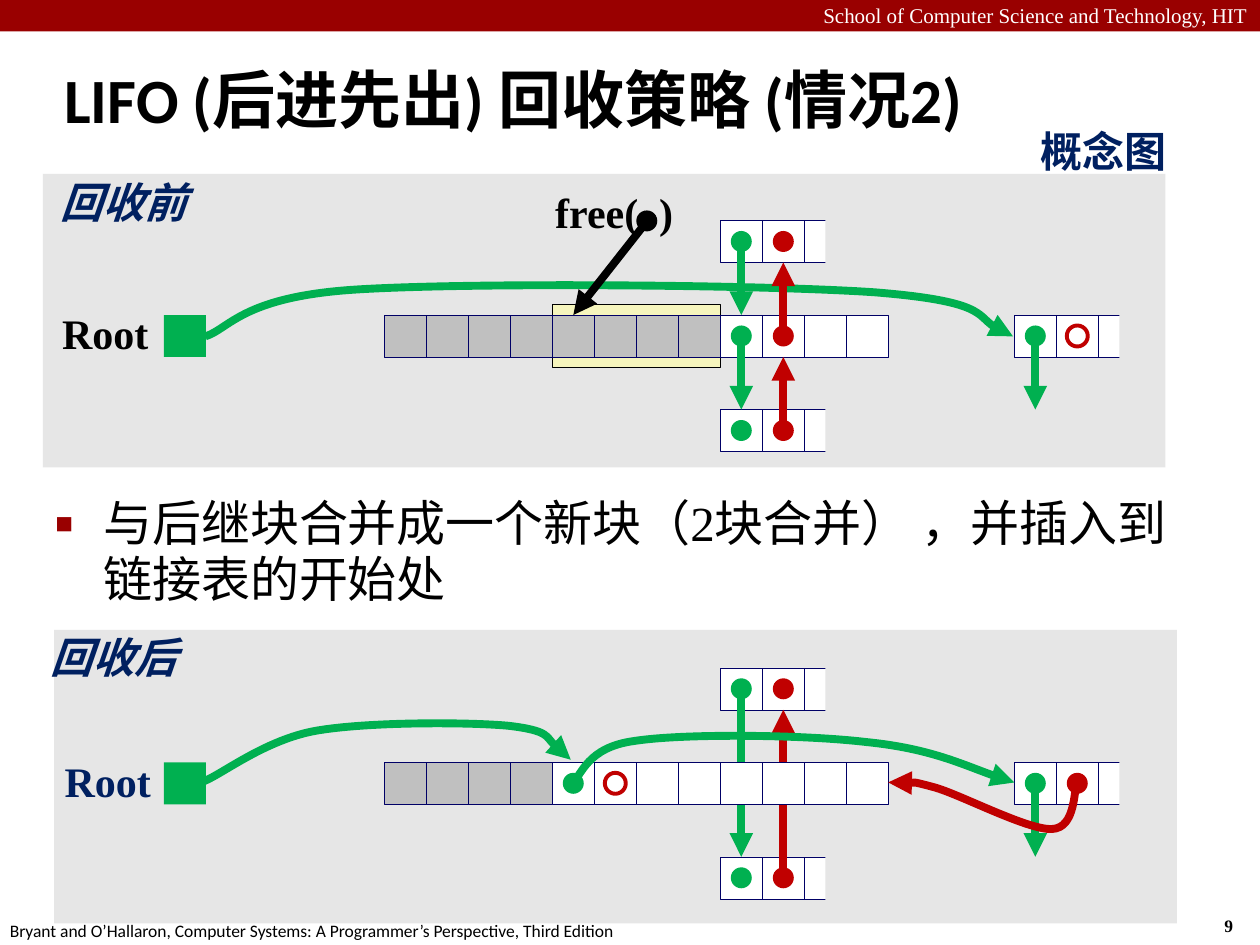
from lxml.etree import SubElement
from pptx import Presentation
from pptx.dml.color import RGBColor
from pptx.enum.shapes import MSO_CONNECTOR, MSO_SHAPE
from pptx.enum.text import MSO_ANCHOR, MSO_AUTO_SIZE, PP_ALIGN
from pptx.oxml.ns import qn
from pptx.util import Inches, Pt


class Theme:
    bar, panel, block, used, free = "990000", "E6E6E6", "F6F5BD", "C0C0C0", "FFFFFF"
    edge, next, prev, ink, navy = "000066", "00B050", "C00000", "000000", "002060"
    serif, sans, cjk = "Times New Roman", "Calibri", "Noto Sans CJK SC"
    title, body, label, header, footer = 36, 28, 24, 12, 10
    arrow, ring, outline, hairline = 4.5, 2.25, 0.75, 0.25


RECT, OVAL = MSO_SHAPE.RECTANGLE, MSO_SHAPE.OVAL
U = 1 / 3        # side of one memory word
X0 = 3.05        # left edge of word 0
ROOT_X = 1.3
ROW_GAP = 2.25 * U

prs = Presentation()
prs.slide_width, prs.slide_height = Inches(10), Inches(7.5)
s = prs.slides.add_slide(prs.slide_layouts[1])


def box(kind, x, y, w, h, fill=None, line=None, width=Theme.hairline):
    sp = s.shapes.add_shape(kind, Inches(x), Inches(y), Inches(w), Inches(h))
    sp.shadow.inherit = False
    if fill:
        sp.fill.solid()
        sp.fill.fore_color.rgb = RGBColor.from_string(fill)
    else:
        sp.fill.background()
    if line:
        sp.line.color.rgb = RGBColor.from_string(line)
        sp.line.width = Pt(width)
    else:
        sp.line.fill.background()
    return sp


def arrow(points, color, target=None, site=0):
    """Two points give a straight connector; 3n + 1 points give n Bézier pieces."""
    pts = [(Inches(x), Inches(y)) for x, y in points]
    if len(pts) == 2:
        sp = s.shapes.add_connector(MSO_CONNECTOR.STRAIGHT, *pts[0], *pts[1])
        if target is not None:
            sp.end_connect(target, site)
    else:
        builder = s.shapes.build_freeform(*pts[0])
        builder.add_line_segments(pts[1:], close=False)
        sp = builder.convert_to_shape()
        sp.fill.background()
        outline = sp._element.find(".//" + qn("a:path"))
        for i, seg in enumerate(outline.findall(qn("a:lnTo"))):
            if i % 3 == 0:
                curve = SubElement(outline, qn("a:cubicBezTo"))
            curve.append(seg[0])
            outline.remove(seg)
    sp.line.color.rgb = RGBColor.from_string(color)
    sp.line.width = Pt(Theme.arrow)
    SubElement(sp.line._get_or_add_ln(), qn("a:tailEnd"), type="triangle")
    SubElement(sp._element.spPr, qn("a:effectLst"))


# Title and body
title, body = s.placeholders[0], s.placeholders[1]
for sp, area, text, size, font, bold, spacing, indent in (
        (title, (0.41, 0.41, 9.51, 0.83), "LIFO (后进先出) 回收策略 (情况2)",
         Theme.title, Theme.sans, True, 0.87, 0.13),
        (body, (0.34, 3.89, 9.4, 0.95),
         "与后继块合并成一个新块（2块合并） ，并插入到链接表的开始处",
         Theme.body, Theme.serif, False, 0.95, 0.38)):
    sp.left, sp.top, sp.width, sp.height = map(Inches, area)
    tf = sp.text_frame
    tf.text = text
    tf.word_wrap, tf.auto_size = True, MSO_AUTO_SIZE.NONE
    p = tf.paragraphs[0]
    p.alignment, p.line_spacing, p.space_before = PP_ALIGN.LEFT, spacing, Pt(0)
    pPr = p._p.get_or_add_pPr()
    pPr.set("marL", str(Inches(indent)))
    pPr.set("indent", str(-Inches(indent)))
    if sp is body:
        SubElement(SubElement(pPr, qn("a:buClr")), qn("a:srgbClr"), val=Theme.bar)
        SubElement(pPr, qn("a:buSzPct"), val="60000")
        SubElement(pPr, qn("a:buChar"), char="■")
    r = p.runs[0]
    r.font.size, r.font.name, r.font.bold = Pt(size), font, bold
    r.font.color.rgb = RGBColor.from_string(Theme.ink)
title.text_frame.vertical_anchor = MSO_ANCHOR.MIDDLE
body.text_frame.vertical_anchor = MSO_ANCHOR.TOP

box(RECT, 0, 0, 10, 0.25, Theme.bar)

# Heap before and after the free
for panel_x, panel_y, top, merged in ((0.34, 1.38, 2.5, False), (0.43, 5, 6.05, True)):
    upper, lower, mid = top - ROW_GAP, top + ROW_GAP, top + U / 2
    next_x, prev_x, last_x = (X0 + (col + 0.5) * U for col in (8, 9, 15))
    box(RECT, panel_x, panel_y, 8.91, 2.33, Theme.panel)
    if not merged:
        box(RECT, X0 + 4 * U, top - U / 4, 4 * U, 1.5 * U, Theme.block, Theme.ink, Theme.outline)
        arrow([(1.63, 2.67), (1.82, 2.61), (1.92, 2.36), (2.8, 2.3), (3.69, 2.24),
               (6.06, 2.26), (6.94, 2.32), (7.81, 2.39), (7.81, 2.6), (8.04, 2.67)], Theme.next)

    used = 4 if merged else 8
    words = [box(RECT, X0 + n * U, top, U, U, Theme.used if n < used else Theme.free, Theme.edge)
             for n in range(12)]
    cells = {}
    for col, y in ((8, upper), (8, lower), (15, top)):
        for n in range(col, col + 3):
            cells[n, y] = box(RECT, X0 + n * U, y, U, U, Theme.free, Theme.edge)
        box(RECT, X0 + (col + 2.5) * U, y - U / 4, U, 1.5 * U, Theme.panel)

    if merged:
        arrow([(next_x, upper + U / 2), (next_x, lower)], Theme.next, cells[8, lower])
        arrow([(prev_x, lower + U / 2), (prev_x, upper + U)], Theme.prev, cells[9, upper], 2)
        for word in words:  # the merged block covers the links
            s.shapes._spTree.append(word._element)
    else:
        for y, target in ((upper, words[8]), (top, cells[8, lower])):
            arrow([(next_x, y + U / 2), (next_x, y + ROW_GAP)], Theme.next, target)
        for y, target in ((lower, words[9]), (top, cells[9, upper])):
            arrow([(prev_x, y + U / 2), (prev_x, y - ROW_GAP + U)], Theme.prev, target, 2)
    arrow([(last_x, mid), (last_x, lower)], Theme.next)

    dots = [(8, upper, Theme.next), (9, upper, Theme.prev), (8, lower, Theme.next),
            (9, lower, Theme.prev), (15, top, Theme.next)]
    if merged:
        dots += [(4, top, Theme.next), (16, top, Theme.prev)]
    else:
        dots += [(8, top, Theme.next), (9, top, Theme.prev)]
    for col, y, color in dots:
        box(OVAL, X0 + (col + 0.25) * U, y + U / 4, U / 2, U / 2, color)
    end_col = 5 if merged else 16
    box(OVAL, X0 + (end_col + 0.25) * U, top + U / 4, U / 2, U / 2,
        line=Theme.prev, width=Theme.ring)
    box(RECT, ROOT_X, top, U, U, Theme.next)

# Links of the merged block
arrow([(4.54, 6.21), (4.62, 6.16), (4.65, 5.93), (5.04, 5.88), (5.43, 5.82),
       (6.38, 5.83), (6.88, 5.89), (7.38, 5.94), (7.81, 6.14), (8.05, 6.21)], Theme.next)
arrow([(8.55, 6.21), (8.52, 6.27), (8.54, 6.57), (8.35, 6.58), (8.16, 6.59),
       (7.63, 6.31), (7.42, 6.25), (7.2, 6.19), (7.13, 6.22), (7.05, 6.21)], Theme.prev)
arrow([(1.62, 6.2), (1.77, 6.14), (2.11, 5.87), (2.51, 5.8), (2.91, 5.73),
       (3.69, 5.73), (4.03, 5.76), (4.37, 5.8), (4.43, 5.97), (4.53, 6.03)], Theme.next)

# Labels
LEFT, CENTER, RIGHT = PP_ALIGN.LEFT, PP_ALIGN.CENTER, PP_ALIGN.RIGHT
for text, area, size, font, color, bold, italic, align, wrap in (
        ("School of Computer Science and Technology, HIT", (0, -0.03, 10, 0.3),
         Theme.header, Theme.serif, Theme.free, False, False, RIGHT, True),
        ("Bryant and O’Hallaron, Computer Systems: A Programmer’s Perspective, Third Edition",
         (-0.02, 7.25, 5.08, 0.27),
         Theme.footer, Theme.sans, Theme.ink, False, False, LEFT, False),
        ("9", (9.62, 7.21, 0.37, 0.27),
         Theme.footer, Theme.serif, Theme.ink, True, False, LEFT, False),
        ("概念图", (7.26, 0.95, 2.1, 0.5),
         Theme.label, Theme.cjk, Theme.navy, True, False, RIGHT, True),
        ("free(  )", (4.35, 1.48, 1.05, 0.47),
         Theme.label, Theme.serif, Theme.ink, True, False, CENTER, False),
        ("Root", (0.44, 2.44, 0.79, 0.47),
         Theme.label, Theme.serif, Theme.ink, True, False, CENTER, False),
        ("Root", (0.46, 5.99, 0.79, 0.47),
         Theme.label, Theme.serif, Theme.navy, True, False, CENTER, False),
        ("回收前", (0.42, 1.4, 1.12, 0.47),
         Theme.label, Theme.sans, Theme.navy, True, True, CENTER, False),
        ("回收后", (0.34, 5.01, 1.12, 0.47),
         Theme.label, Theme.sans, Theme.navy, True, True, CENTER, False)):
    tf = s.shapes.add_textbox(*map(Inches, area)).text_frame
    tf.text, tf.word_wrap = text, wrap
    p = tf.paragraphs[0]
    p.alignment = align
    if align == CENTER:
        p.line_spacing = 0.9
        tf.margin_left = tf.margin_right = Inches(0.05)
    r = p.runs[0]
    r.font.size, r.font.name, r.font.bold, r.font.italic = Pt(size), font, bold, italic
    r.font.color.rgb = RGBColor.from_string(color)

# Argument of free()
box(OVAL, 5.05, 1.67, U / 2, U / 2, Theme.ink)
arrow([(5.14, 1.75), (X0 + 4.5 * U, 2.5)], Theme.ink)

prs.save("out.pptx")
